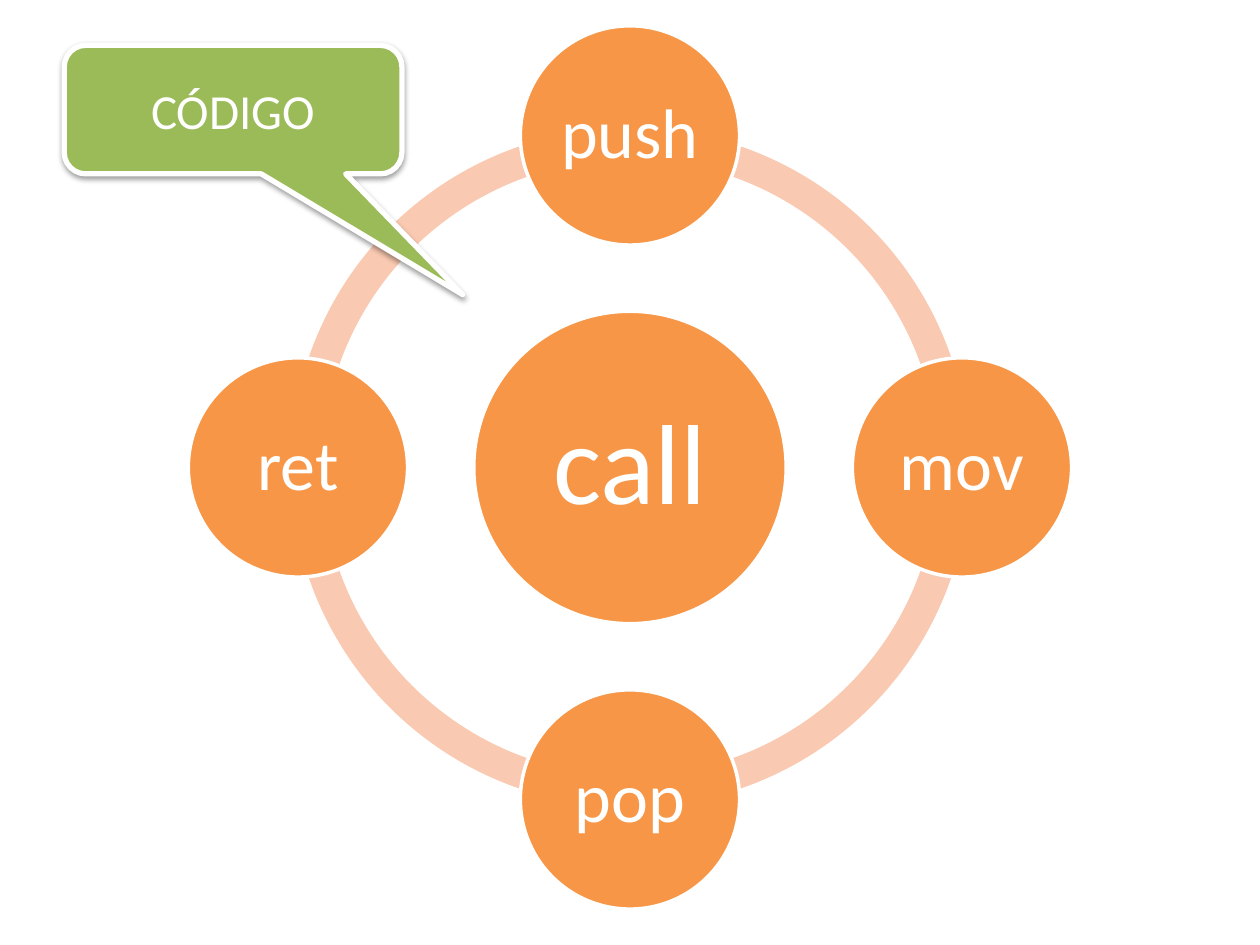
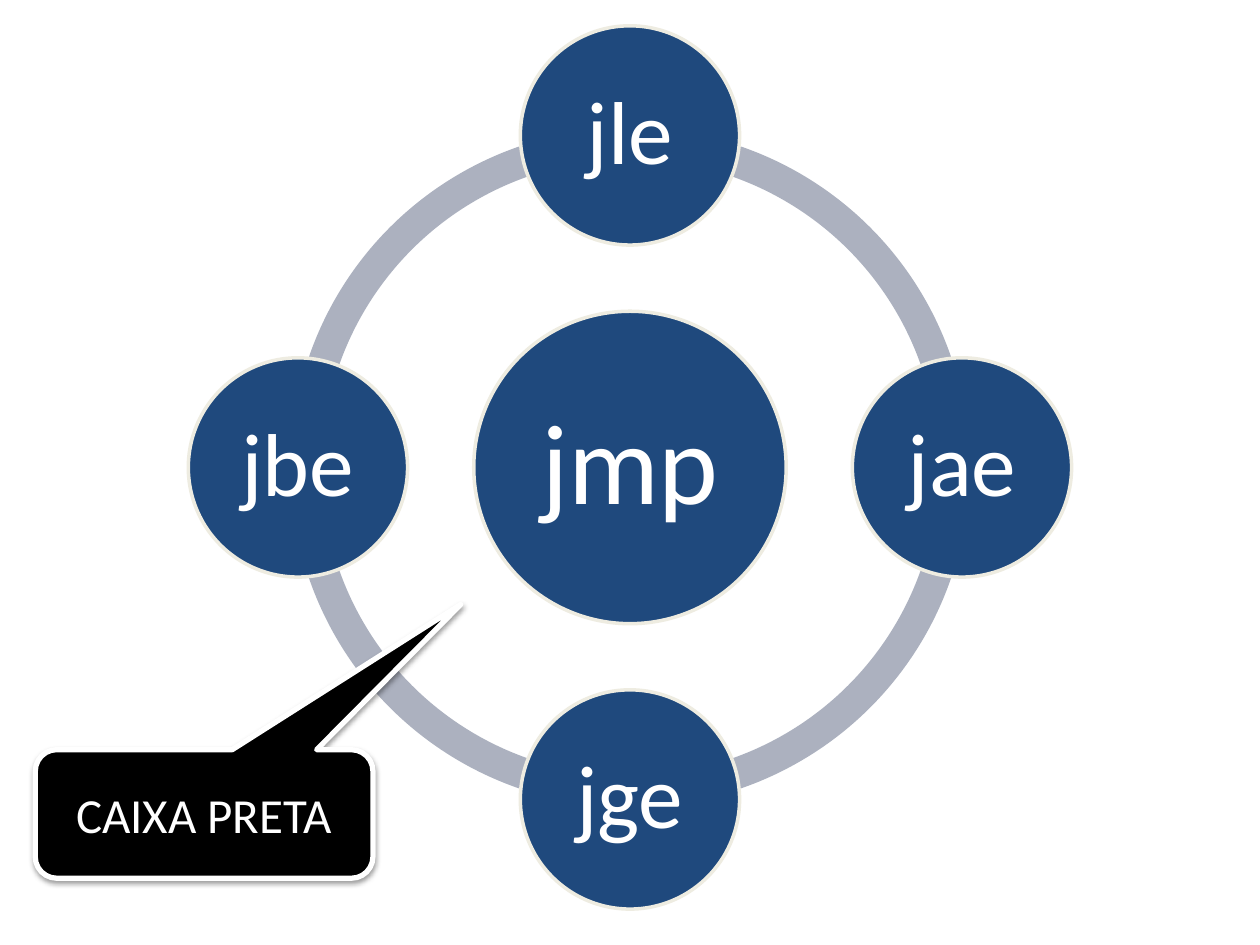
import dataclasses
import math

import lxml.etree
import pptx
import pptx.dml.color
import pptx.enum.shapes
import pptx.enum.text
import pptx.oxml.ns
import pptx.util

Inches = pptx.util.Inches
Pt = pptx.util.Pt
KIND = pptx.enum.shapes.MSO_SHAPE


@dataclasses.dataclass(frozen=True)
class Theme:
    font: str = "Calibri"
    white: str = "FFFFFF"
    black: str = "000000"
    green: str = "9BBB59"
    orange: str = "F79646"
    peach: str = "FAC9B1"
    navy: str = "1F497D"
    gray: str = "ACB1BF"
    cream: str = "EEECE1"
    hub_size: int = 65
    tag_size: int = 28
    thin: int = 2
    thick: int = 3


THEME = Theme()


def tint(name):
    return pptx.dml.color.RGBColor.from_string(name)


def apply(item, values):
    for name, value in values.items():
        setattr(item, name, value)


def draw(shapes, kind, box, fill, line=None, width=0, turns=()):
    """Add one flat shape; box is left, top, width, height in inches."""
    shape = shapes.add_shape(kind, *map(Inches, box))
    shape.shadow.inherit = False
    shape.fill.solid()
    shape.fill.fore_color.rgb = tint(fill)
    if line:
        shape.line.color.rgb = tint(line)
        shape.line.width = Pt(width)
    else:
        shape.line.fill.background()
    for spot, value in enumerate(turns):
        shape.adjustments[spot] = value
    return shape


def label(shape, text, size, frame=None, para=None):
    """Write one centred white line inside a shape."""
    body = shape.text_frame
    apply(body, {"vertical_anchor": pptx.enum.text.MSO_ANCHOR.MIDDLE,
                 "word_wrap": True, **(frame or {})})
    line = body.paragraphs[0]
    apply(line, {"alignment": pptx.enum.text.PP_ALIGN.CENTER, **(para or {})})
    run = line.add_run()
    run.text = text
    apply(run.font, {"name": THEME.font, "size": Pt(size)})
    run.font.color.rgb = tint(THEME.white)


def disc(shapes, x, y, size, look, text, points, inset):
    """Add a labelled circle centred on x, y."""
    shape = draw(shapes, KIND.OVAL, (x - size / 2, y - size / 2, size, size),
                 look["fill"], look["edge"], THEME.thin)
    sides = ("left", "top", "right", "bottom")
    frame = {f"margin_{side}": Inches(inset) for side in sides}
    label(shape, text, points, {**frame, "word_wrap": False},
          {"line_spacing": 0.9})


def cycle(slide, box, look, hub, nodes):
    """Ring of arcs, a hub and evenly spaced nodes, clockwise from the top."""
    left, top, width, height = box
    x, y = left + width / 2, top + height / 2
    orbit, node, core, ring = 2.635, 1.74, 2.48, 5.39
    shapes = slide.shapes.add_group_shape().shapes

    # Ring: a full turn is 216 adjustment units
    step = 216 / len(nodes)
    arc = (x - ring / 2, y - ring / 2, ring, ring)
    for start in (2, 1, 0, 3):
        turns = (start * step, (start + 1) * step % 216, 0.046)
        draw(shapes, KIND.BLOCK_ARC, arc, look["ring"], turns=turns)

    # Hub and nodes
    disc(shapes, x, y, core, look, hub, THEME.hub_size, 0.09)
    for spot, text in enumerate(nodes):
        angle = math.tau * spot / len(nodes)
        disc(shapes, x + orbit * math.sin(angle), y - orbit * math.cos(angle),
             node, look, text, look["size"], look["inset"])


def shade(shape):
    """Give a shape a soft shadow straight below it."""
    effect = shape.element.spPr.find(pptx.oxml.ns.qn("a:effectLst"))

    def add(owner, tag, **values):
        return lxml.etree.SubElement(owner, pptx.oxml.ns.qn(tag), values)

    outer = add(effect, "a:outerShdw", blurRad=str(Pt(3.1)),
                dist=str(Pt(1.6)), dir="5400000", rotWithShape="0")
    color = add(outer, "a:srgbClr", val=THEME.black)
    add(color, "a:alpha", val="38000")


def callout(slide, box, text, fill, tip):
    """Rounded speech box whose tip is given relative to its centre."""
    shape = draw(slide.shapes, KIND.ROUNDED_RECTANGULAR_CALLOUT, box, fill,
                 THEME.white, THEME.thick, (*tip, 0.167))
    shade(shape)
    label(shape, text, THEME.tag_size)


def build(deck, page):
    slide = deck.slides.add_slide(deck.slide_layouts[6])
    cycle(slide, (1.5, 0.21, 7, 7), page["look"], page["hub"], page["nodes"])
    callout(slide, **page["note"])


PAGES = (
    {"hub": "call", "nodes": ("push", "mov", "pop", "ret"),
     "look": {"fill": THEME.orange, "edge": THEME.white, "ring": THEME.peach,
              "size": 40, "inset": 0.06},
     "note": {"box": (0.51, 0.36, 2.68, 1.02), "text": "CÓDIGO",
              "fill": THEME.green, "tip": (0.68, 1.44)}},
    {"hub": "jmp", "nodes": ("jle", "jae", "jge", "jbe"),
     "look": {"fill": THEME.navy, "edge": THEME.cream, "ring": THEME.gray,
              "size": 51, "inset": 0.07},
     "note": {"box": (0.28, 5.95, 2.68, 1.02), "text": "CAIXA PRETA",
              "fill": THEME.black, "tip": (0.76, -1.63)}},
)


def main():
    deck = pptx.Presentation()
    apply(deck, {"slide_width": Inches(10), "slide_height": Inches(7.5)})
    for page in PAGES:
        build(deck, page)
    deck.save("out.pptx")


if __name__ == "__main__":
    main()
